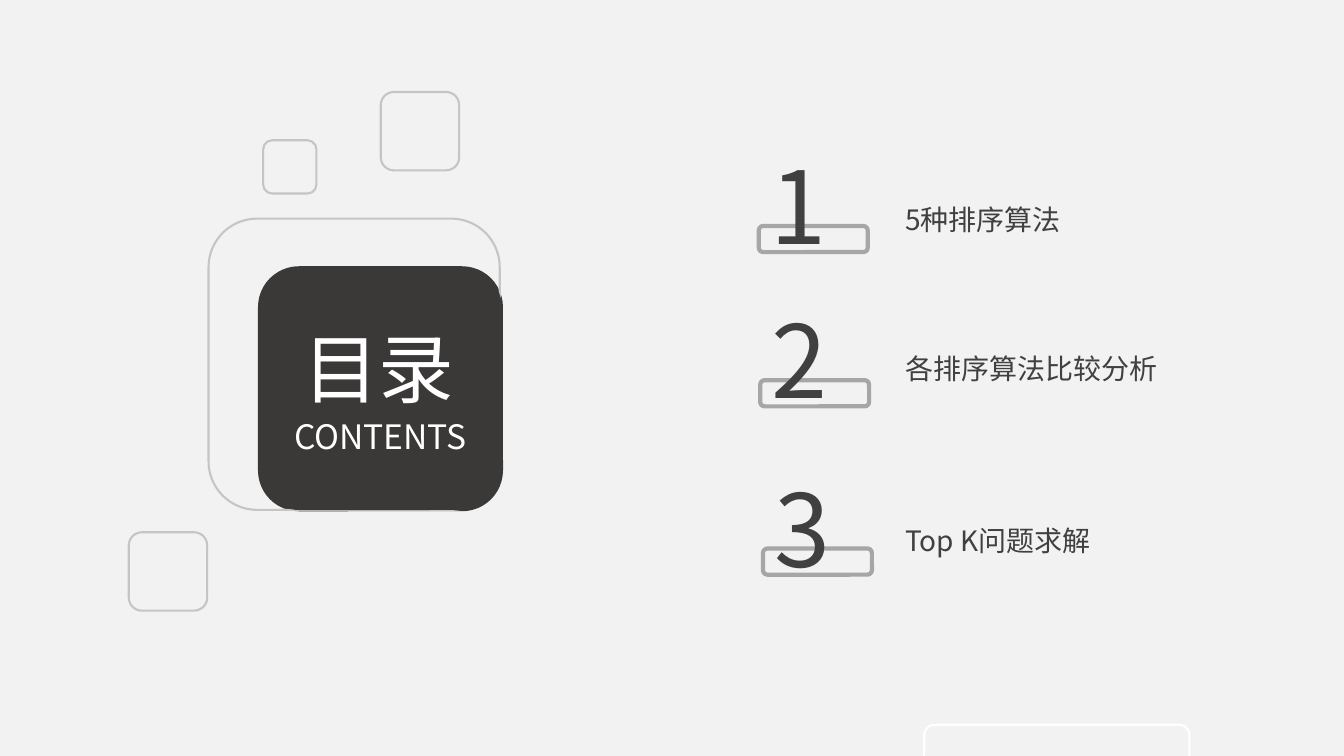
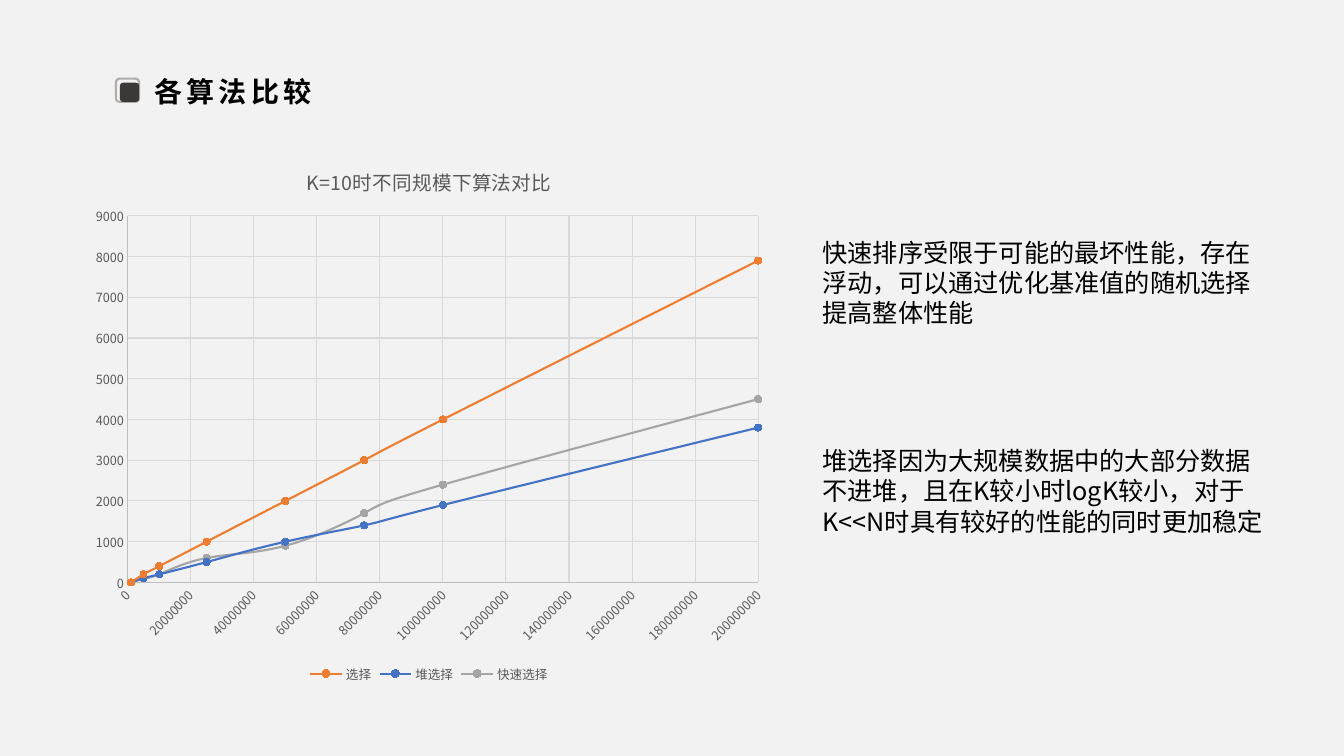
from lxml import etree
from pptx import Presentation
from pptx.chart.data import XyChartData
from pptx.dml.color import RGBColor
from pptx.enum import chart as charts, shapes, text
from pptx.oxml import ns
from pptx.util import Pt

FONT = "Noto Sans CJK SC"
PAPER, DARK, INK, BLACK, WHITE = "F2F2F2", "3B3838", "404040", "000000", "FFFFFF"
OUTLINE, BAR, MARK = "C5C5C5", "A6A6A6", "AFABAB"
CHART_TEXT, AXIS, GRID = "595959", "BFBFBF", "D9D9D9"

CONTENTS = [
    ("1", "5种排序算法", 541, 122.4, 10.8),
    ("2", "各排序算法比较分析", 542, 232.6, 7.2),
    ("3", "Top K问题求解", 544, 352.8, 9.4),
]
SIZES = [1000000, 5000000, 10000000, 25000000, 50000000, 75000000, 100000000, 200000000]
TIMINGS = [
    ("选择", "ED7D31", [0, 200, 400, 1000, 2000, 3000, 4000, 7900]),
    ("堆选择", "4472C4", [0, 100, 200, 500, 1000, 1400, 1900, 3800]),
    ("快速选择", "A5A5A5", [0, 100, 200, 600, 900, 1700, 2400, 4500]),
]
REMARKS = [
    ("快速排序受限于可能的最坏性能，存在浮动，可以通过优化基准值的随机选择提高整体性能",
     (580.3, 165.6, 329.8, 72.7)),
    ("堆选择因为大规模数据中的大部分数据不进堆，且在K较小时logK较小，对于K<<N时具有较好的性能的同时更加稳定",
     (580.3, 314.6, 329.8, 94.3)),
]


def rgb(color):
    return RGBColor.from_string(color)


def style_font(font, size, color, bold=False):
    font.size, font.bold, font.name = Pt(size), bold, FONT
    font.color.rgb = rgb(color)


def style_line(line, color, width):
    line.color.rgb = rgb(color)
    line.width = Pt(width)


def set_east_asian(root):
    for latin in list(root.iter(ns.qn("a:latin"))):
        east_asian = etree.Element(ns.qn("a:ea"))
        east_asian.set("typeface", FONT)
        latin.addnext(east_asian)


def rounded(parent, box, fill=None, line=None, width=1.5):
    tile = parent.add_shape(shapes.MSO_SHAPE.ROUNDED_RECTANGLE, *map(Pt, box))
    tile.shadow.inherit = False
    if fill:
        tile.fill.solid()
        tile.fill.fore_color.rgb = rgb(fill)
    else:
        tile.fill.background()
    if line:
        style_line(tile.line, line, width)
    else:
        tile.line.fill.background()
    return tile


def write(holder, words, size, color, bold=False, insets=(7.2, 3.6),
          anchor=text.MSO_ANCHOR.MIDDLE):
    frame = holder.text_frame
    frame.text = words
    frame.word_wrap = True
    frame.auto_size = text.MSO_AUTO_SIZE.NONE
    frame.vertical_anchor = anchor
    frame.margin_left = frame.margin_right = Pt(insets[0])
    frame.margin_top = frame.margin_bottom = Pt(insets[1])
    paragraph = frame.paragraphs[0]
    paragraph.alignment = text.PP_ALIGN.LEFT
    paragraph.space_before = Pt(0)
    style_font(paragraph.runs[0].font, size, color, bold)
    return paragraph


def label(parent, box, words, size, color, **options):
    return write(parent.add_textbox(*map(Pt, box)), words, size, color, **options)


def move(placeholder, box):
    placeholder.left, placeholder.top, placeholder.width, placeholder.height = map(Pt, box)


def title(slide, box, words, size, color, bold=False):
    heading = slide.shapes.title
    move(heading, box)
    paragraph = write(heading, words, size, color, bold)
    heading.element.getparent().append(heading.element)
    return paragraph


def contents_badge(slide, left, top):
    def at(x, y, width, height):
        return left + x, top + y, width, height

    parts = slide.shapes
    rounded(parts, at(35.3, 34, 175, 175), fill=DARK)
    for box in ((0, 0, 208, 208), (39, -56, 38, 38), (-57, 224, 56, 56), (123, -90.5, 56, 56)):
        rounded(parts, at(*box), line=OUTLINE)
    rounded(parts, at(36, 34.6, 173.5, 173.5), fill=DARK)
    title(slide, at(60.5, 70, 131.8, 72.7), "目录", 54, WHITE)
    label(parts, at(54, 137, 146, 36), "CONTENTS", 24, WHITE)


def contents_item(slide, number, words, left, top, drop):
    rounded(slide.shapes, (left + 1, top + 39, 77.8, 18.7), line=BAR, width=3)
    entry = slide.shapes.add_group_shape().shapes
    insets = (9.4, 5)
    label(entry, (left, top, 106.6, 46.8), number, 72, INK, insets=insets)
    label(entry, (637.2, top + drop, 200.2, 46.8), words, 20, INK, insets=insets)


def section_title(slide, left, top, words):
    mark = slide.shapes.add_group_shape().shapes
    rounded(mark, (left, top, 16.6, 16.6), line=MARK)
    rounded(mark, (left + 2.9, top + 2.9, 13.7, 13.7), fill=DARK)
    heading = title(slide, (left + 20.2, top - 6.5, 160.6, 31.7), words, 20, BLACK, True)
    heading.runs[0].font._element.set("spc", "300")


def manual_layout(x, y, width=None, height=None):
    layout = etree.Element(ns.qn("c:layout"))
    manual = etree.SubElement(layout, ns.qn("c:manualLayout"))
    values = [("xMode", "edge"), ("yMode", "edge"), ("x", x), ("y", y)]
    if width:
        values = [("layoutTarget", "inner")] + values + [("w", width), ("h", height)]
    for tag, value in values:
        etree.SubElement(manual, ns.qn("c:" + tag)).set("val", str(value))
    return layout


def replace_layout(parent, layout, index):
    for old in parent.findall(ns.qn("c:layout")):
        parent.remove(old)
    parent.insert(index, layout)


def style_axis(axis, maximum, step):
    axis.minimum_scale, axis.maximum_scale, axis.major_unit = 0, maximum, step
    axis.major_tick_mark = axis.minor_tick_mark = charts.XL_TICK_MARK.NONE
    axis.has_major_gridlines = True
    style_line(axis.major_gridlines.format.line, GRID, 0.75)
    style_line(axis.format.line, AXIS, 0.75)
    style_font(axis.tick_labels.font, 9, CHART_TEXT)
    axis.tick_labels.number_format = "0"
    axis.tick_labels.number_format_is_linked = False


def timing_chart(slide, box):
    data = XyChartData()
    for name, _, timings in TIMINGS:
        series = data.add_series(name)
        for size, timing in zip(SIZES, timings):
            series.add_data_point(size, timing)
    chart = slide.shapes.add_chart(
        charts.XL_CHART_TYPE.XY_SCATTER_SMOOTH, *map(Pt, box), data).chart
    style_font(chart.font, 10, BLACK)
    chart.plots[0].vary_by_categories = False
    for series, (_, color, _) in zip(chart.plots[0].series, TIMINGS):
        style_line(series.format.line, color, 1.5)
        series.marker.style = charts.XL_MARKER_STYLE.CIRCLE
        series.marker.size = 5
        series.marker.format.fill.solid()
        series.marker.format.fill.fore_color.rgb = rgb(color)
        style_line(series.marker.format.line, color, 0.75)
        for smooth in series._element.findall(ns.qn("c:smooth")):
            smooth.set("val", "1")

    style_axis(chart.category_axis, 200000000, 20000000)
    style_axis(chart.value_axis, 9000, 1000)
    size_labels = chart.category_axis._element.find(ns.qn("c:txPr"))
    size_labels.find(ns.qn("a:bodyPr")).set("rot", "-2700000")

    chart.has_title = True
    caption = chart.chart_title.text_frame
    caption.text = "K=10时不同规模下算法对比"
    style_font(caption.paragraphs[0].runs[0].font, 14, CHART_TEXT)
    chart.has_legend = True
    chart.legend.position = charts.XL_LEGEND_POSITION.BOTTOM
    chart.legend.include_in_layout = False
    style_font(chart.legend.font, 9, CHART_TEXT)
    replace_layout(chart.chart_title._element, manual_layout(0.32, 0.04), 1)
    plot_area = chart.element.find(".//" + ns.qn("c:plotArea"))
    replace_layout(plot_area, manual_layout(0.07, 0.14, 0.9, 0.67), 0)
    set_east_asian(chart.element)


def remark(placeholder, words, box):
    move(placeholder, box)
    paragraph = write(placeholder, words, 18, BLACK, anchor=text.MSO_ANCHOR.TOP)
    paragraph.line_spacing = Pt(21.6)
    properties = paragraph._p.get_or_add_pPr()
    properties.set("marL", "0")
    properties.set("indent", "0")
    etree.SubElement(properties, ns.qn("a:buNone"))


def contents_slide(prs):
    slide = prs.slides.add_slide(prs.slide_layouts[5])
    contents_badge(slide, 149, 156.2)
    for item in CONTENTS:
        contents_item(slide, *item)
    rounded(slide.shapes, (660.2, 517.7, 189.4, 41.8), line=WHITE)
    set_east_asian(slide.element)


def comparison_slide(prs):
    slide = prs.slides.add_slide(prs.slide_layouts[3])
    section_title(slide, 82.8, 56.2, "各算法比较")
    timing_chart(slide, (56.2, 99.4, 500.4, 391))
    for index, (words, box) in enumerate(REMARKS, 1):
        remark(slide.placeholders[index], words, box)
    set_east_asian(slide.element)


def main():
    prs = Presentation()
    prs.slide_width, prs.slide_height = Pt(960), Pt(540)
    background = prs.slide_master.background.fill
    background.solid()
    background.fore_color.rgb = rgb(PAPER)
    contents_slide(prs)
    comparison_slide(prs)
    prs.save("out.pptx")


if __name__ == "__main__":
    main()
